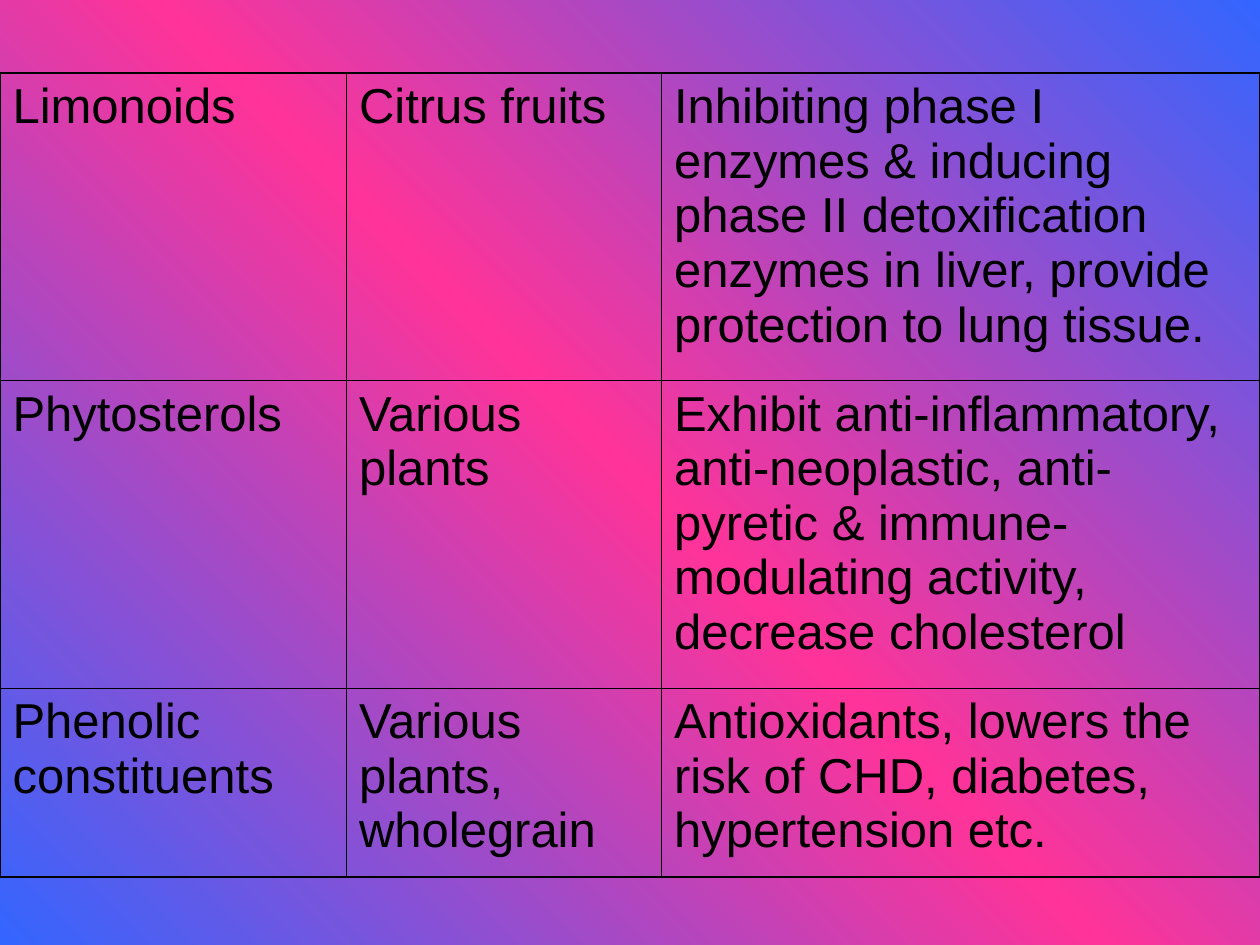
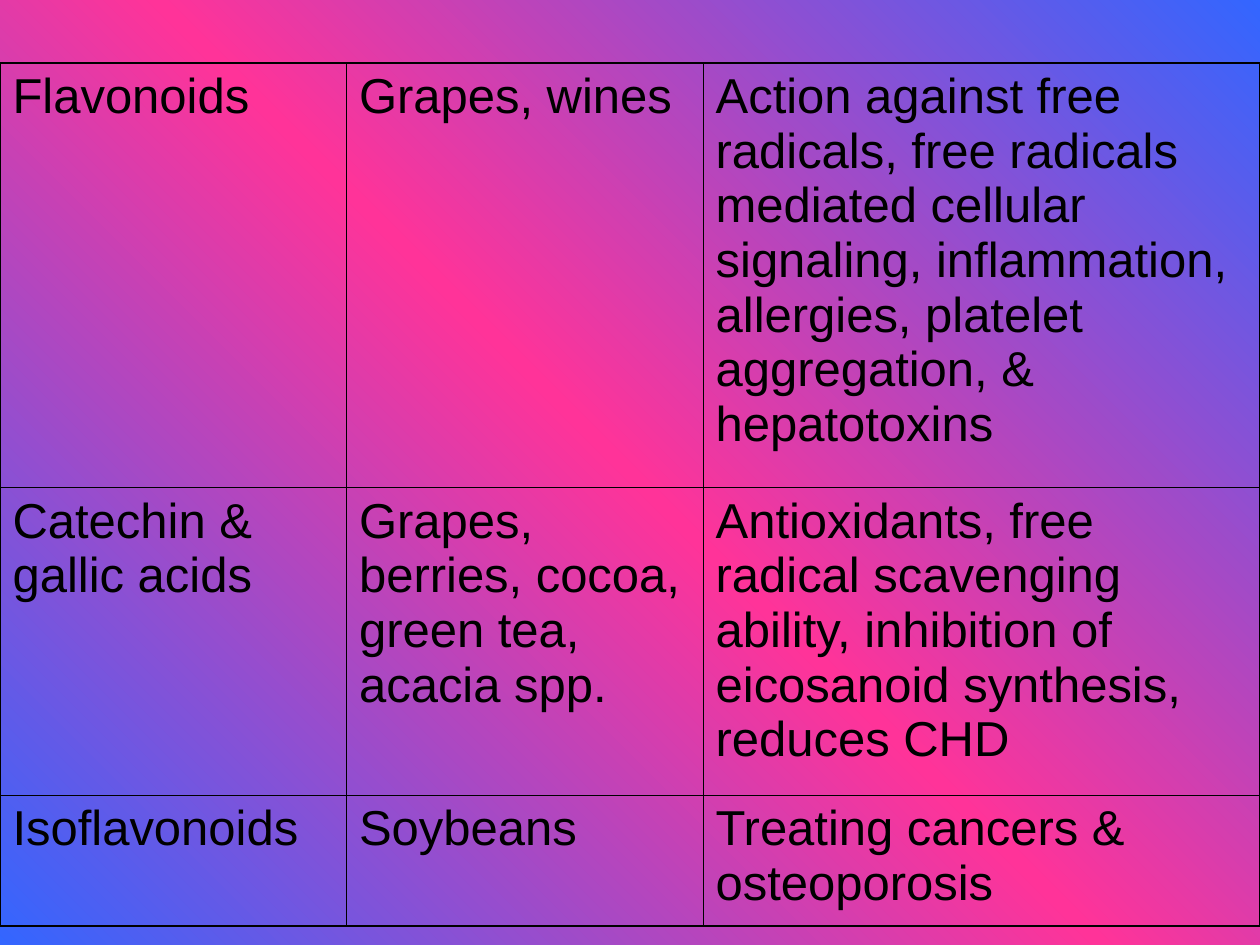
from copy import deepcopy
from dataclasses import dataclass

from lxml import etree
from pptx import Presentation
from pptx.dml.color import RGBColor
from pptx.oxml.ns import qn
from pptx.util import Inches, Pt


@dataclass(frozen=True)
class Theme:
    edge: str = "3366FF"
    middle: str = "FF3399"
    ink: str = "000000"
    font: str = "Arial"
    size: float = 28
    outer_line: float = 1.08
    inner_line: float = 0.45


THEME = Theme()

TABLES = [
    {
        "top": 0.58,
        "widths": [2.75, 2.5, 4.75],
        "heights": [2.44, 2.44, 1.5],
        "rows": [
            ("Limonoids", "Citrus fruits",
             "Inhibiting phase I enzymes & inducing phase II detoxification "
             "enzymes in liver, provide protection to lung tissue."),
            ("Phytosterols", "Various plants",
             "Exhibit anti-inflammatory, anti-neoplastic, anti-pyretic & "
             "immune- modulating activity, decrease cholesterol"),
            ("Phenolic constituents", "Various plants, wholegrain",
             "Antioxidants, lowers the risk of CHD, diabetes, hypertension etc."),
        ],
    },
    {
        "top": 0.5,
        "widths": [2.75, 2.83, 4.42],
        "heights": [3.37, 2.44, 1.04],
        "rows": [
            ("Flavonoids", "Grapes, wines",
             "Action against free radicals, free radicals mediated cellular "
             "signaling, inflammation, allergies, platelet aggregation, & "
             "hepatotoxins"),
            ("Catechin & gallic acids",
             "Grapes, berries, cocoa, green tea, acacia spp.",
             "Antioxidants, free radical scavenging ability, inhibition of "
             "eicosanoid synthesis, reduces CHD"),
            ("Isoflavonoids", "Soybeans", "Treating cancers & osteoporosis"),
        ],
    },
]


def set_borders(cell, outer_sides):
    tcPr = cell._tc.get_or_add_tcPr()
    for i, side in enumerate("LRTB"):
        width = THEME.outer_line if side in outer_sides else THEME.inner_line
        ln = etree.Element(qn(f"a:ln{side}"), w=str(Pt(width)))
        fill = etree.SubElement(ln, qn("a:solidFill"))
        etree.SubElement(fill, qn("a:srgbClr"), val=THEME.ink)
        tcPr.insert(i, ln)


prs = Presentation()
prs.slide_width = Inches(10)
prs.slide_height = Inches(7.5)

master = prs.slide_master
fill = master.background.fill
fill.gradient()
fill.gradient_angle = 45
stop_list = next(master.element.iter(qn("a:gsLst")))
stop_list.insert(1, deepcopy(stop_list[0]))
colors = [THEME.edge, THEME.middle, THEME.edge]
for stop, position, color in zip(fill.gradient_stops, [0, 0.5, 1], colors):
    stop.position = position
    stop.color.rgb = RGBColor.from_string(color)

for spec_table in TABLES:
    s = prs.slides.add_slide(prs.slide_layouts[6])
    rows, widths, heights = (spec_table[k] for k in ("rows", "widths", "heights"))
    last_row, last_col = len(rows) - 1, len(widths) - 1
    table = s.shapes.add_table(
        len(rows), len(widths), Inches(0), Inches(spec_table["top"]),
        Inches(sum(widths)), Inches(sum(heights))).table
    table.first_row = False
    table.horz_banding = False
    for column, width in zip(table.columns, widths):
        column.width = Inches(width)
    for row, height in zip(table.rows, heights):
        row.height = Inches(height)

    for i, texts in enumerate(rows):
        for j, text in enumerate(texts):
            cell = table.cell(i, j)
            cell.fill.background()
            cell.margin_left = cell.margin_right = Inches(0.1)
            cell.margin_top = cell.margin_bottom = Inches(0.05)
            edges = {"L": j == 0, "R": j == last_col, "T": i == 0, "B": i == last_row}
            set_borders(cell, [side for side, outer in edges.items() if outer])
            cell.text_frame.text = text
            r = cell.text_frame.paragraphs[0].runs[0]
            r.font.name = THEME.font
            r.font.size = Pt(THEME.size)
            r.font.color.rgb = RGBColor.from_string(THEME.ink)

prs.save("out.pptx")
